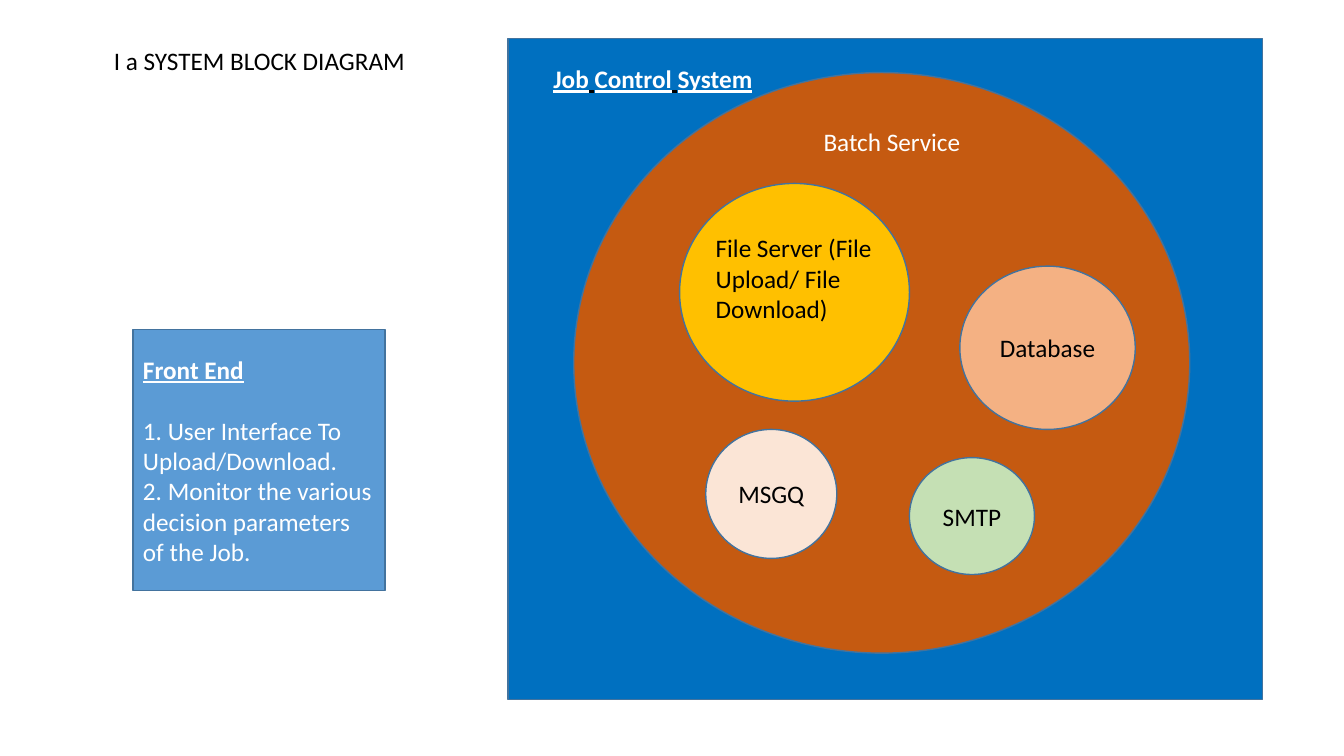
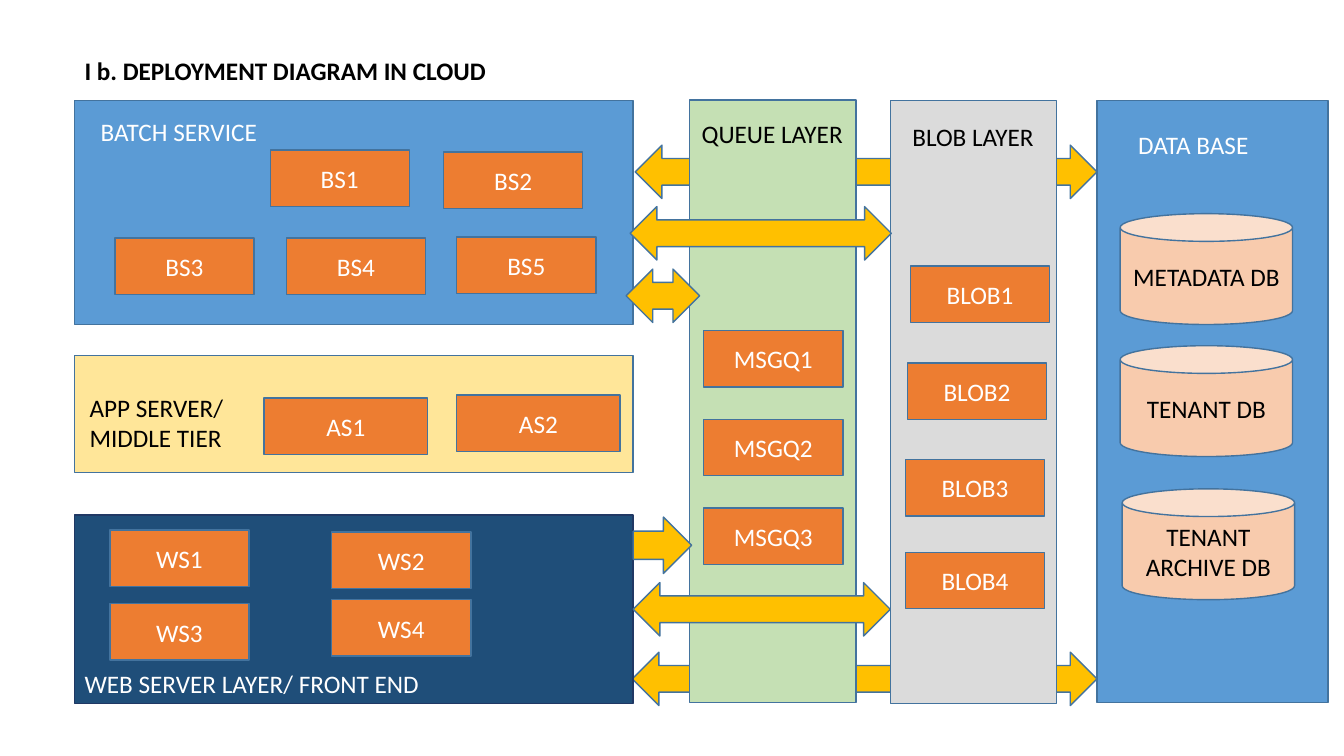
from dataclasses import dataclass
from pptx import Presentation
from pptx.dml.color import RGBColor
from pptx.enum.shapes import MSO_SHAPE
from pptx.enum.text import MSO_ANCHOR, MSO_AUTO_SIZE, PP_ALIGN
from pptx.util import Emu, Pt


@dataclass(frozen=True)
class Theme:
    font: str = "Calibri"
    size: int = 18
    line_width: int = 1
    paragraph_gap: int = 22
    black: str = "000000"
    white: str = "FFFFFF"
    outline: str = "43739E"
    dark_outline: str = "203864"
    blue: str = "5B9BD5"
    strong_blue: str = "0070C0"
    navy: str = "1F4E79"
    rust: str = "C55A11"
    orange: str = "ED7D31"
    gold: str = "FFC000"
    pale_gold: str = "FFE699"
    peach: str = "F4B183"
    light_peach: str = "F8CBAD"
    pale_peach: str = "FBE5D6"
    green: str = "C5E0B4"
    grey: str = "DBDBDB"


theme = Theme()
PX = 9144


def draw(page, kind, left, top, width, height, fill, line=theme.outline):
    box = page.shapes.add_shape(kind, *(Emu(n * PX) for n in (left, top, width, height)))
    box.shadow.inherit = False
    box.fill.solid()
    box.fill.fore_color.rgb = RGBColor.from_string(fill)
    box.line.color.rgb = RGBColor.from_string(line)
    box.line.width = Pt(theme.line_width)
    return box


def write(box, text, color=theme.white, align=PP_ALIGN.CENTER, bold=False,
          underline=False, space_before=0, same_line=False):
    frame = box.text_frame
    para = frame.paragraphs[-1]
    if frame.text and not same_line:
        para = frame.add_paragraph()
    para.alignment = align
    if space_before:
        para.space_before = Pt(space_before)
    span = para.add_run()
    span.text = text
    span.font.name = theme.font
    span.font.size = Pt(theme.size)
    span.font.bold = bold
    span.font.underline = underline
    span.font.color.rgb = RGBColor.from_string(color)


deck = Presentation()
deck.slide_width, deck.slide_height = Emu(1333 * PX), Emu(750 * PX)
blank = deck.slide_layouts[6]
block_page = deck.slides.add_slide(blank)
cloud_page = deck.slides.add_slide(blank)

draw(block_page, MSO_SHAPE.RECTANGLE, 504, 38, 748, 656, theme.strong_blue)
for left, top, width, height, fill, text in [
    (569, 72, 611, 576, theme.rust, ""),
    (674, 182, 228, 216, theme.gold, ""),
    (952, 264, 174, 162, theme.peach, "Database"),
    (700, 426, 130, 128, theme.pale_peach, "MSGQ"),
    (902, 454, 124, 116, theme.green, "SMTP"),
]:
    circle = draw(block_page, MSO_SHAPE.OVAL, left, top, width, height, fill)
    if text:
        write(circle, text, color=theme.black)

front_end = draw(block_page, MSO_SHAPE.RECTANGLE, 132, 327, 250, 259, theme.blue)
write(front_end, "Front End", align=PP_ALIGN.LEFT, bold=True, underline=True)
write(front_end, "1. User Interface To Upload/Download.", align=PP_ALIGN.LEFT,
      space_before=theme.paragraph_gap)
write(front_end, "2. Monitor the various decision parameters of the Job.", align=PP_ALIGN.LEFT)

for left, top, width in [(627, 647, 461), (630, 144, 458)]:
    draw(cloud_page, MSO_SHAPE.LEFT_RIGHT_ARROW, left, top, width, 53, theme.gold)

for left, top, width, height, fill, line in [
    (1088, 100, 229, 597, theme.blue, theme.outline),
    (74, 100, 554, 222, theme.blue, theme.outline),
    (74, 511, 554, 187, theme.navy, theme.dark_outline),
    (74, 353, 554, 116, theme.pale_gold, theme.outline),
    (883, 100, 165, 598, theme.grey, theme.outline),
    (684, 99, 165, 598, theme.green, theme.outline),
]:
    draw(cloud_page, MSO_SHAPE.RECTANGLE, left, top, width, height, fill, line)

node_groups = [
    ("WS", 138, [(109, 526), (329, 528), (109, 599), (329, 595)]),
    ("BS", 138, [(268, 149), (440, 151), (114, 236), (284, 236), (453, 235)]),
    ("AS", 162, [(262, 395), (453, 392)]),
    ("BLOB", 138, [(903, 264), (900, 360), (898, 456), (898, 548)]),
    ("MSGQ", 138, [(698, 328 + 88 * row) for row in range(3)]),
]
for prefix, width, places in node_groups:
    for number, (left, top) in enumerate(places, 1):
        node = draw(cloud_page, MSO_SHAPE.RECTANGLE, left, top, width, 56, theme.orange)
        write(node, f"{prefix}{number}")

for left, top, text in [
    (1111, 212, "METADATA DB"),
    (1111, 343, "TENANT DB"),
    (1113, 485, "TENANT ARCHIVE DB"),
]:
    store = draw(cloud_page, MSO_SHAPE.CAN, left, top, 171, 110, theme.light_peach)
    write(store, text, color=theme.black)

for kind, left, top, width, height in [
    (MSO_SHAPE.RIGHT_ARROW, 628, 513, 58, 56),
    (MSO_SHAPE.LEFT_RIGHT_ARROW, 628, 578, 255, 53),
    (MSO_SHAPE.LEFT_RIGHT_ARROW, 625, 205, 259, 53),
    (MSO_SHAPE.LEFT_RIGHT_ARROW, 621, 267, 73, 53),
]:
    draw(cloud_page, kind, left, top, width, height, theme.gold)

system_name = [
    ("Job", theme.white), (" ", theme.black), ("Control", theme.white),
    (" ", theme.black), ("System", theme.white),
]
for page, left, top, width, height, wrap, emphasis, lines in [
    (block_page, 103, 40, 312, 40, False, {}, [[("I a SYSTEM BLOCK DIAGRAM", theme.black)]]),
    (block_page, 700, 226, 190, 101, True, {},
     [[("File Server (File Upload/ File Download)", theme.black)]]),
    (block_page, 807, 120, 157, 40, False, {}, [[("Batch Service", theme.white)]]),
    (block_page, 539, 58, 219, 40, False, {"bold": True, "underline": True}, [system_name]),
    (cloud_page, 74, 50, 422, 40, False, {"bold": True},
     [[("I b. DEPLOYMENT DIAGRAM IN CLOUD", theme.black)]]),
    (cloud_page, 90, 110, 177, 40, False, {}, [[("BATCH SERVICE", theme.white)]]),
    (cloud_page, 74, 658, 361, 40, False, {}, [[("WEB SERVER LAYER/ FRONT END", theme.white)]]),
    (cloud_page, 1119, 123, 130, 40, False, {}, [[("DATA BASE", theme.white)]]),
    (cloud_page, 79, 384, 160, 71, False, {},
     [[("APP SERVER/", theme.black)], [("MIDDLE TIER", theme.black)]]),
    (cloud_page, 895, 115, 142, 40, False, {}, [[("BLOB LAYER", theme.black)]]),
    (cloud_page, 686, 112, 161, 40, False, {}, [[("QUEUE LAYER", theme.black)]]),
]:
    label = page.shapes.add_textbox(*(Emu(n * PX) for n in (left, top, width, height)))
    label.text_frame.word_wrap = wrap
    label.text_frame.auto_size = MSO_AUTO_SIZE.SHAPE_TO_FIT_TEXT
    label.text_frame.vertical_anchor = MSO_ANCHOR.TOP
    for spans in lines:
        for position, (text, color) in enumerate(spans):
            write(label, text, color=color, align=PP_ALIGN.LEFT,
                  same_line=position > 0, **emphasis)

deck.save("out.pptx")
